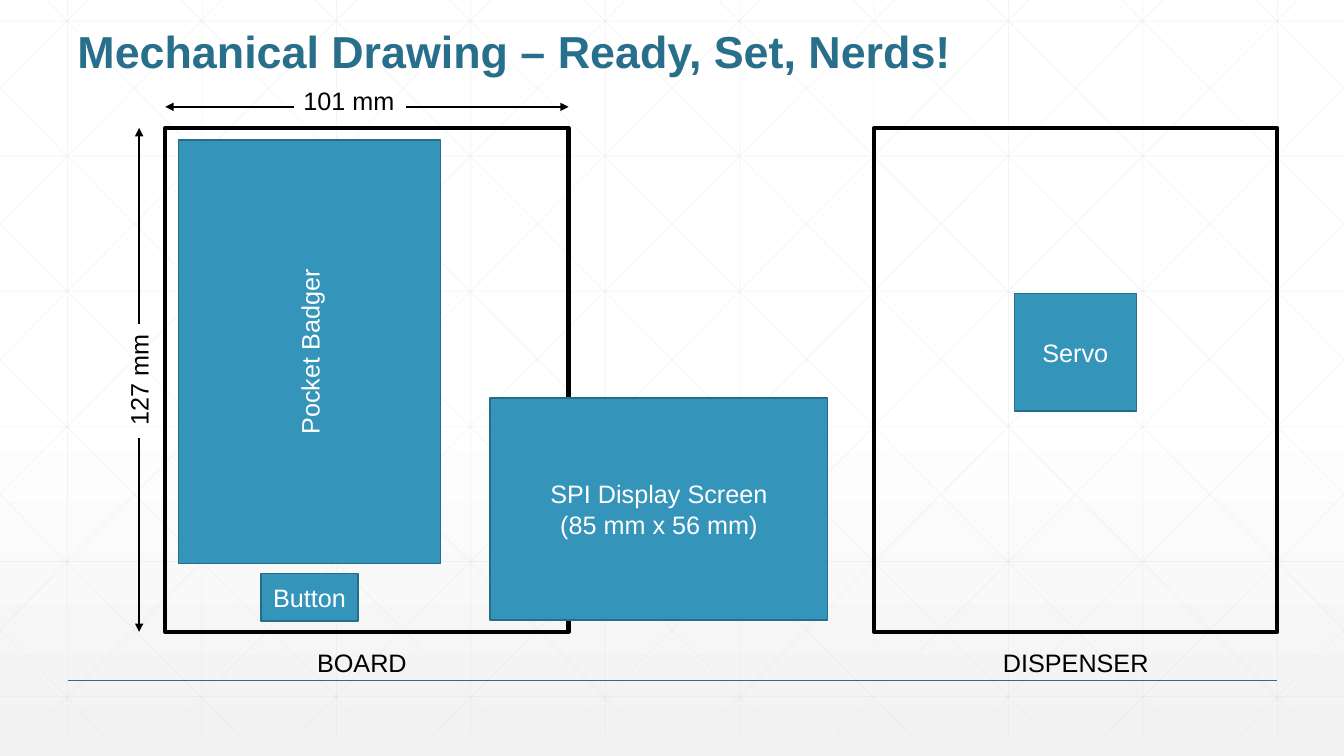
from lxml.etree import SubElement
from pptx import Presentation
from pptx.dml.color import RGBColor
from pptx.enum.shapes import MSO_CONNECTOR, MSO_SHAPE
from pptx.enum.text import MSO_ANCHOR, PP_ALIGN
from pptx.oxml.ns import qn
from pptx.util import Inches, Pt

WIDE, FLOOR, STEP = 13.33, 7.29, 4 / 3
BLUE, EDGE, DARK = "3494BA", "266D8A", "276F8B"
BLACK, WHITE = "000000", "FFFFFF"
color = RGBColor.from_string

deck = Presentation()
deck.slide_width, deck.slide_height = Inches(WIDE), Inches(7.5)
slide = deck.slides.add_slide(deck.slide_layouts[6])


def rule(x1, y1, x2, y2, ink=BLACK, width=1, alpha=None, arrow=False):
    """Draw a straight line; an arrowhead sits at its first point."""
    line = slide.shapes.add_connector(
        MSO_CONNECTOR.STRAIGHT, Inches(x1), Inches(y1), Inches(x2), Inches(y2))
    line.line.color.rgb = color(ink)
    line.line.width = Pt(width)
    props = line.line._get_or_add_ln()
    if alpha:
        tint = props.find(".//" + qn("a:srgbClr"))
        SubElement(tint, qn("a:alpha"), val=str(alpha * 1000))
    if arrow:
        SubElement(props, qn("a:headEnd"), type="triangle")
    SubElement(props.getparent(), qn("a:effectLst"))


def write(text, x, y, w, h, fill=None, edge=None, width=1, turn=0, size=18,
          ink=BLACK, bold=False, align=PP_ALIGN.LEFT, wrap=False,
          anchor=MSO_ANCHOR.TOP, gap=1.0):
    """Place text in a rectangle if it has an edge, else in a text box."""
    place = [Inches(n) for n in (x, y, w, h)]
    if edge:
        box = slide.shapes.add_shape(MSO_SHAPE.RECTANGLE, *place)
        box.shadow.inherit = False
        box.line.color.rgb = color(edge)
        box.line.width = Pt(width)
        if fill:
            box.fill.solid()
            box.fill.fore_color.rgb = color(fill)
        else:
            box.fill.background()
    else:
        box = slide.shapes.add_textbox(*place)
    box.rotation = turn
    frame = box.text_frame
    frame.word_wrap = wrap
    frame.vertical_anchor = anchor
    frame.text = text
    for para in frame.paragraphs:
        para.alignment = align
        para.line_spacing = gap
        font = para.font
        font.name, font.size, font.bold = "Arial", Pt(size), bold
        font.color.rgb = color(ink)


# Background: white fading to grey, with a faint grid
back = slide.background.fill
back.gradient()
back.gradient_angle = 270
for stop, ink, spot in zip(back.gradient_stops, (WHITE, "F2F2F2"), (0.53, 1)):
    stop.color.rgb = color(ink)
    stop.position = spot

faint = {"ink": "D9D9D9", "width": 0.5, "alpha": 25}
for col in range(10):
    x = 0.67 + col * STEP
    rule(x, 0, x, FLOOR, **faint)
for row in range(6):
    y = 0.21 + row * 1.34
    rule(0, y, WIDE, y, **faint)
for k in range(-5, 10):
    top, foot = 0.46 + k * STEP, 7.7 + k * STEP
    slope = FLOOR / (foot - top)
    x1, x2 = max(top, 0), min(foot, WIDE)
    y1, y2 = (x1 - top) * slope, (x2 - top) * slope
    rule(x1, y1, x2, y2, **faint)
    rule(WIDE - x1, y1, WIDE - x2, y2, **faint)

rule(0.67, 6.75, 12.67, 6.75, ink=DARK)
write("Mechanical Drawing – Ready, Set, Nerds!", 0.67, 0.25, 12, 1,
      size=32, ink=DARK, bold=True, wrap=True, gap=0.9)

# Outlines and their captions
for name, left, x, w in (("BOARD", 1.64, 3.04, 1.1),
                         ("DISPENSER", 8.67, 9.84, 1.66)):
    write("", left, 1.27, 4, 5, edge=BLACK, width=3)
    write(name, x, 6.37, w, 0.4, align=PP_ALIGN.CENTER)

# Dimensions
write("127 mm", 0.82, 3.56, 1.11, 0.4, turn=270)
write("101 mm", 2.91, 0.8, 1.11, 0.4)
for ends in ((1.64, 1.06, 2.92, 1.06), (5.64, 1.06, 4.03, 1.06),
             (1.38, 1.27, 1.38, 3.21), (1.38, 6.27, 1.38, 4.35)):
    rule(*ends, arrow=True)

# Parts
parts = [
    ("Pocket Badger", 0.97, 2.19, 4.2, 2.6, 270),
    ("SPI Display Screen\n(85 mm x 56 mm)", 4.86, 3.95, 3.35, 2.2, 0),
    ("Button", 2.59, 5.69, 0.96, 0.47, 0),
    ("Servo", 10.06, 2.91, 1.21, 1.17, 0),
]
for name, x, y, w, h, turn in parts:
    write(name, x, y, w, h, turn=turn, fill=BLUE, edge=EDGE, ink=WHITE,
          align=PP_ALIGN.CENTER, anchor=MSO_ANCHOR.MIDDLE, wrap=True)

deck.save("out.pptx")
